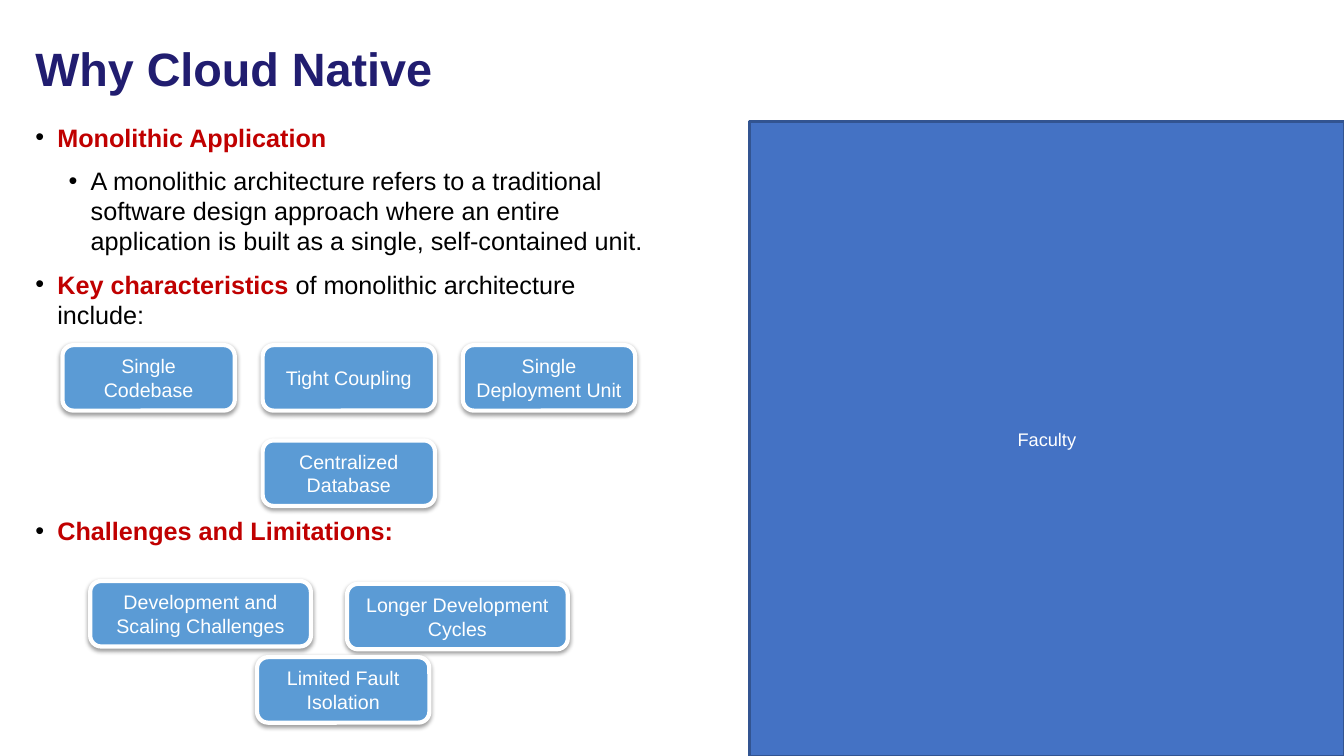
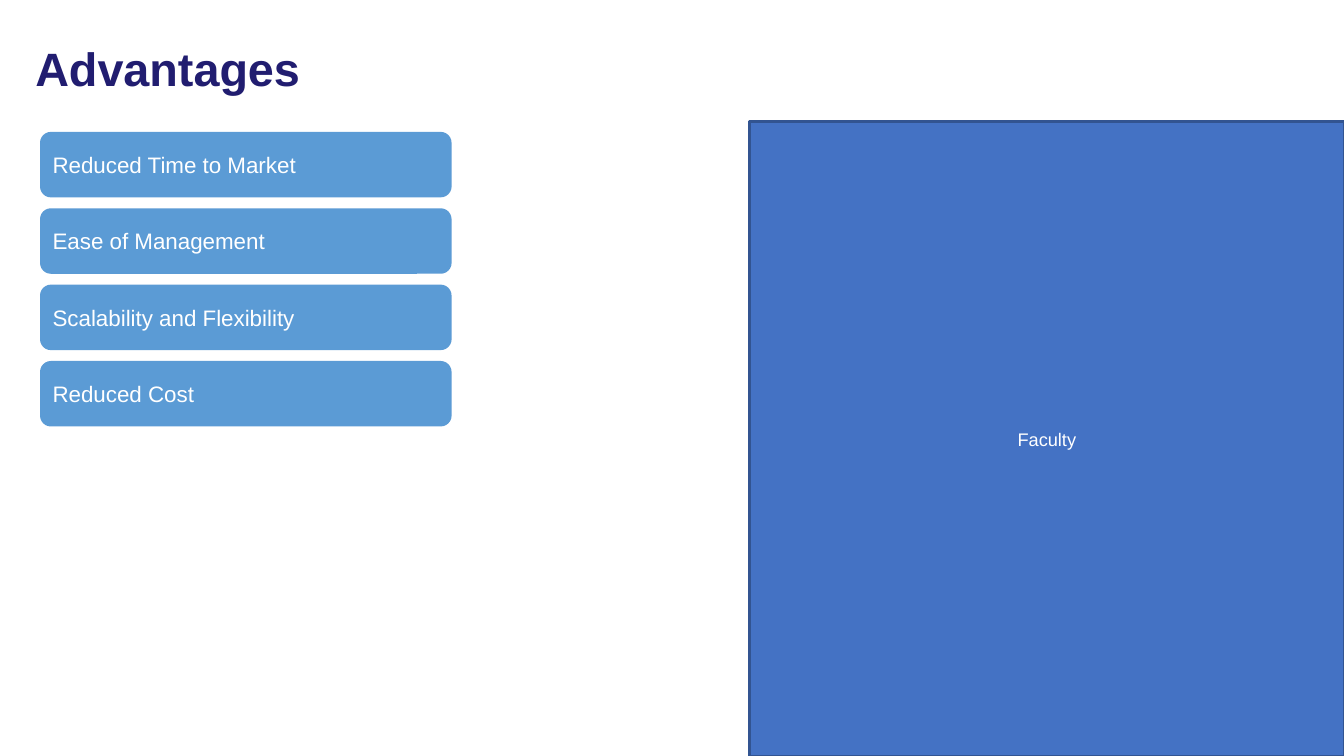
import pptx
import pptx.util
import pptx.dml.color
import pptx.enum.shapes
import pptx.enum.text
import pptx.oxml
import pptx.oxml.ns
from lxml import etree

Pt = pptx.util.Pt
RGBColor = pptx.dml.color.RGBColor
Align = pptx.enum.text.PP_ALIGN
Anchor = pptx.enum.text.MSO_ANCHOR
Shape = pptx.enum.shapes.MSO_SHAPE
qn = pptx.oxml.ns.qn

FONT = "Arial"
NAVY = RGBColor(0x21, 0x1D, 0x70)
RED = RGBColor(0xC0, 0x00, 0x00)
BLACK = RGBColor(0x00, 0x00, 0x00)
WHITE = RGBColor(0xFF, 0xFF, 0xFF)
PANEL_FILL = RGBColor(0x44, 0x72, 0xC4)
PANEL_LINE = RGBColor(0x32, 0x54, 0x91)
BOX_FILL = RGBColor(0x5B, 0x9B, 0xD5)

SLIDE_WIDTH, SLIDE_HEIGHT = 960, 540
PANEL_LEFT, PANEL_TOP = 535.5, 87
BOX_HEIGHT = 46.8
BODY_SIZE = 18

# Each bullet: level, space before, runs of (text, is a key term)
BULLETS = [
    (0, 0, [("Monolithic Application", True)]),
    (1, 9.3, [("A monolithic architecture refers to a traditional software design "
               "approach where an entire application is built as a single, "
               "self-contained unit.", False)]),
    (0, 9.3, [("Key characteristics ", True),
              ("of monolithic architecture include:", False)]),
    (0, 133, [("Challenges and Limitations:", True)]),
]
BULLET_INDENT = 15.8
LEVEL_MARGINS = [15.8, 39.6]

# Each row of boxes: left, top, width, pitch, labels
BOX_ROWS = [
    (44.6, 246.5, 123.1, 143, ["Single Codebase", "Tight Coupling", "Single Deployment Unit"]),
    (187.6, 314.6, 123.1, 0, ["Centralized Database"]),
    (64.4, 415, 157.7, 0, ["Development and Scaling Challenges"]),
    (247.9, 417, 157.7, 0, ["Longer Development Cycles"]),
    (183.6, 469.4, 123.1, 0, ["Limited Fault Isolation"]),
]

ADVANTAGES = ["Reduced Time to Market", "Ease of Management",
              "Scalability and Flexibility", "Reduced Cost"]
ADVANTAGE_LEFT, ADVANTAGE_TOP, ADVANTAGE_WIDTH = 28.6, 94.2, 294
ADVANTAGE_PITCH = 54.55


def place(shape, left, top, width, height):
    shape.left, shape.top = Pt(left), Pt(top)
    shape.width, shape.height = Pt(width), Pt(height)


def add_run(paragraph, text, size, color, bold=False):
    run = paragraph.add_run()
    run.text = text
    run.font.name = FONT
    run.font.size = Pt(size)
    run.font.bold = bold
    run.font.color.rgb = color


def add_label_shape(slide, kind, bounds, fill, label, size, align=Align.CENTER):
    shape = slide.shapes.add_shape(kind, *(Pt(length) for length in bounds))
    shape.shadow.inherit = False
    shape.fill.solid()
    shape.fill.fore_color.rgb = fill
    shape.line.fill.background()
    frame = shape.text_frame
    frame.word_wrap = True
    frame.vertical_anchor = Anchor.MIDDLE
    frame.margin_left = frame.margin_right = Pt(6.7)
    frame.margin_top = frame.margin_bottom = Pt(0)
    paragraph = frame.paragraphs[0]
    paragraph.alignment = align
    add_run(paragraph, label, size, WHITE)
    return shape


def set_line(shape, color, width):
    shape.line.color.rgb = color
    shape.line.width = Pt(width)


def add_soft_shadow(shape):
    effects = shape.element.spPr.find(qn("a:effectLst"))
    shadow = etree.SubElement(effects, qn("a:outerShdw"), blurRad=str(Pt(3.1)),
                              dist=str(Pt(1.6)), dir="5400000", rotWithShape="0")
    color = etree.SubElement(shadow, qn("a:srgbClr"), val=str(BLACK))
    etree.SubElement(color, qn("a:alpha"), val="38000")


def set_bullet(paragraph, level):
    paragraph.level = level
    properties = paragraph._p.get_or_add_pPr()
    properties.set("marL", str(Pt(LEVEL_MARGINS[level])))
    properties.set("indent", str(-Pt(BULLET_INDENT)))
    color = etree.SubElement(properties, qn("a:buClr"))
    etree.SubElement(color, qn("a:srgbClr"), val=str(BLACK))
    etree.SubElement(properties, qn("a:buFont"), typeface=FONT)
    etree.SubElement(properties, qn("a:buChar"), char="•")


def add_slide(presentation, layout_index, title):
    """Add a slide with the shared title style and side panel."""
    slide = presentation.slides.add_slide(presentation.slide_layouts[layout_index])
    heading = slide.shapes.title
    place(heading, 18, 18, 850.3, 65.5)
    frame = heading.text_frame
    frame.auto_size = pptx.enum.text.MSO_AUTO_SIZE.NONE
    frame.vertical_anchor = Anchor.MIDDLE
    paragraph = frame.paragraphs[0]
    paragraph.alignment = Align.LEFT
    paragraph.line_spacing = 0.9
    add_run(paragraph, title, 33.4, NAVY, bold=True)
    bounds = (PANEL_LEFT, PANEL_TOP, SLIDE_WIDTH - PANEL_LEFT, SLIDE_HEIGHT - PANEL_TOP)
    panel = add_label_shape(slide, Shape.RECTANGLE, bounds, PANEL_FILL, "Faculty", 13)
    set_line(panel, PANEL_LINE, 2)
    return slide


def fill_body(body):
    place(body, 18, 83.5, 462.2, 373.7)
    frame = body.text_frame
    frame.auto_size = pptx.enum.text.MSO_AUTO_SIZE.NONE
    for index, (level, space_before, runs) in enumerate(BULLETS):
        paragraph = frame.add_paragraph() if index else frame.paragraphs[0]
        paragraph.space_before = Pt(space_before)
        set_bullet(paragraph, level)
        for text, is_key in runs:
            add_run(paragraph, text, BODY_SIZE, RED if is_key else BLACK, bold=is_key)


def build_why_slide(presentation):
    slide = add_slide(presentation, 1, "Why Cloud Native")
    fill_body(slide.placeholders[1])
    for left, top, width, pitch, labels in BOX_ROWS:
        for column, label in enumerate(labels):
            bounds = (left + column * pitch, top, width, BOX_HEIGHT)
            box = add_label_shape(slide, Shape.ROUNDED_RECTANGLE, bounds, BOX_FILL, label, 14)
            set_line(box, WHITE, 3)
            add_soft_shadow(box)


def build_advantages_slide(presentation):
    slide = add_slide(presentation, 5, "Advantages")
    for row, label in enumerate(ADVANTAGES):
        bounds = (ADVANTAGE_LEFT, ADVANTAGE_TOP + row * ADVANTAGE_PITCH,
                  ADVANTAGE_WIDTH, BOX_HEIGHT)
        add_label_shape(slide, Shape.ROUNDED_RECTANGLE, bounds, BOX_FILL, label, 16, Align.LEFT)


def main():
    presentation = pptx.Presentation()
    presentation.slide_width = Pt(SLIDE_WIDTH)
    presentation.slide_height = Pt(SLIDE_HEIGHT)
    build_why_slide(presentation)
    build_advantages_slide(presentation)
    presentation.save("out.pptx")


if __name__ == "__main__":
    main()
